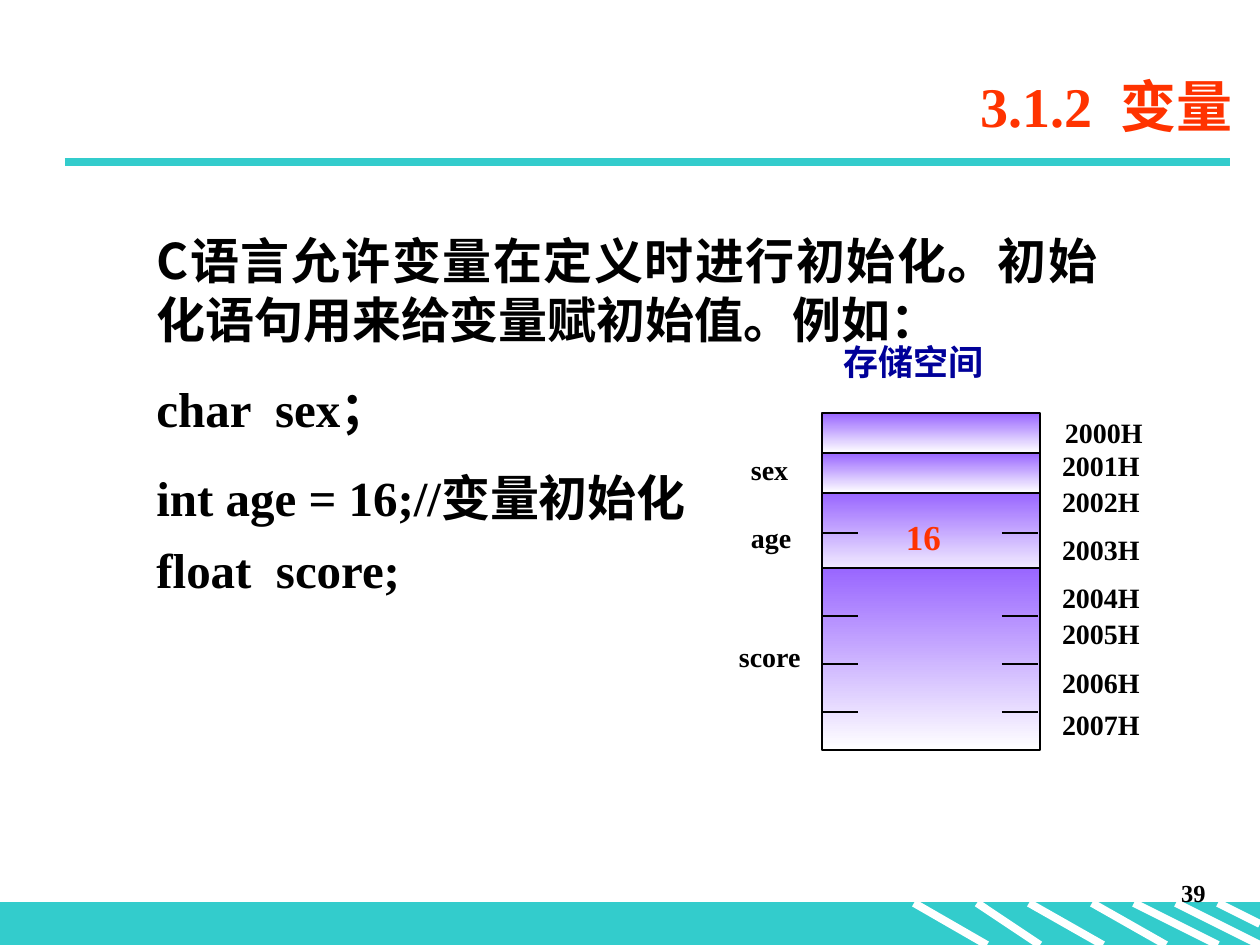
import pptx
import pptx.dml.color
import pptx.enum.shapes
import pptx.enum.text
import pptx.oxml.ns
import pptx.util
from dataclasses import dataclass
from lxml import etree

ALIGN = pptx.enum.text.PP_ALIGN
FIT = pptx.enum.text.MSO_AUTO_SIZE


@dataclass(frozen=True)
class Theme:
    teal: str = "33CCCC"
    white: str = "FFFFFF"
    black: str = "000000"
    red: str = "FF3300"
    navy: str = "000099"
    violet: str = "9966FF"
    latin: str = "Times New Roman"
    asian: str = "Noto Sans CJK SC"
    title: int = 32
    body: int = 28
    caption: int = 20
    label: int = 16
    number: int = 14


THEME = Theme()


def px(count):
    return pptx.util.Emu(round(count * 914400 / 126))


def rgb(code):
    return pptx.dml.color.RGBColor.from_string(code)


def add_span(para, text, size, color=THEME.black, latin=THEME.latin):
    span = para.add_run()
    span.text = text
    span.font.size = pptx.util.Pt(size)
    span.font.bold = True
    span.font.color.rgb = rgb(color)
    span.font.name = latin
    asian = etree.SubElement(span._r.get_or_add_rPr(), pptx.oxml.ns.qn("a:ea"))
    asian.set("typeface", THEME.asian)
    return span


def add_box(page, left, top, width, height, inset=True, wrap=True):
    box = page.shapes.add_textbox(px(left), px(top), px(width), px(height))
    frame = box.text_frame
    frame.word_wrap = wrap
    frame.auto_size = FIT.SHAPE_TO_FIT_TEXT
    if not inset:
        frame.margin_left = frame.margin_right = 0
        frame.margin_top = frame.margin_bottom = 0
    return frame


def add_label(page, text, left, top, width, size=THEME.label, color=THEME.black):
    frame = add_box(page, left, top, width, size * 2, inset=False, wrap=False)
    add_span(frame.paragraphs[0], text, size, color)


def add_line(page, start, end, color, weight):
    line = page.shapes.add_connector(
        pptx.enum.shapes.MSO_CONNECTOR.STRAIGHT, *map(px, start + end))
    line.line.color.rgb = rgb(color)
    line.line.width = pptx.util.Pt(weight)
    etree.SubElement(line._element.spPr, pptx.oxml.ns.qn("a:effectLst"))


def add_rectangle(page, left, top, width, height, line_color, weight):
    box = page.shapes.add_shape(
        pptx.enum.shapes.MSO_SHAPE.RECTANGLE,
        px(left), px(top), px(width), px(height))
    box.shadow.inherit = False
    box.line.color.rgb = rgb(line_color)
    box.line.width = pptx.util.Pt(weight)
    return box


def add_cell(page, top, height):
    cell = add_rectangle(page, 822, top, 218, height, THEME.black, 1.25)
    cell.fill.gradient()
    cell.fill.gradient_angle = 270
    for stop, position, color in zip(
            cell.fill.gradient_stops, (0, 1), (THEME.violet, THEME.white)):
        stop.position = position
        stop.color.rgb = rgb(color)


def add_frame(page):
    # Footer band with diagonal stripes
    band = add_rectangle(page, 0, 903, 1260, 42, THEME.teal, 0.75)
    band.fill.solid()
    band.fill.fore_color.rgb = rgb(THEME.teal)
    stripes = [(914, 987, 945), (977, 1040, 945), (1029, 1103, 945),
               (1092, 1166, 945), (1134, 1218, 945), (1176, 1260, 945),
               (1218, 1260, 924)]
    for left, right, bottom in stripes:
        add_line(page, (left, 903), (right, bottom), THEME.white, 4.5)

    # Rule under the title
    add_line(page, (65, 162), (1230, 162), THEME.teal, 4.5)

    # Page number
    frame = add_box(page, 956, 872, 262, 63)
    frame.auto_size = FIT.NONE
    frame.paragraphs[0].alignment = ALIGN.RIGHT
    add_span(frame.paragraphs[0], "39", THEME.number)


def add_title(page):
    title = page.shapes.title
    title.left, title.top, title.width, title.height = map(px, (174, 55, 1071, 100))
    frame = title.text_frame
    frame.auto_size = FIT.NONE
    frame.vertical_anchor = pptx.enum.text.MSO_ANCHOR.MIDDLE
    para = frame.paragraphs[0]
    para.alignment = ALIGN.RIGHT
    add_span(para, "3.1.2", THEME.title, THEME.red)
    gap = add_span(para, " ", THEME.title, THEME.red)
    gap._r.get_or_add_rPr().set("spc", "800")
    add_span(para, "变量", THEME.title, THEME.red)


def add_body(page):
    frame = add_box(page, 144, 224, 966, 470)
    para = frame.paragraphs[0]
    para.alignment = ALIGN.JUSTIFY
    add_span(para, "C语言允许变量在定义时进行初始化。初始化语句用来给变量赋初始值。例如：",
             THEME.body, latin=THEME.asian)
    for code, space in [("char  sex；", 17.5), ("int age = 16;//变量初始化", 17.5),
                        ("float  score;", 7)]:
        para = frame.add_paragraph()
        para.space_before = pptx.util.Pt(space)
        add_span(para, code, THEME.body)


def add_memory(page):
    # Cells, one per variable below the free first byte
    for top, height in [(413, 40), (453, 40), (493, 87), (568, 182)]:
        add_cell(page, top, height)

    # Byte marks at both edges of a cell
    for y in (533, 616, 664, 712):
        for left in (822, 1002):
            add_line(page, (left, y), (left + 36, y), THEME.black, 0.75)

    # Addresses
    addresses = [(1065, 416), (1062, 449), (1062, 485), (1062, 533),
                 (1062, 581), (1062, 617), (1062, 665), (1062, 708)]
    for index, (left, top) in enumerate(addresses):
        add_label(page, f"{2000 + index}H", left, top, 82)

    # Variable names and the stored value
    for name, left, top, width in [("sex", 751, 453, 42), ("age", 751, 520, 46),
                                   ("score", 739, 640, 66)]:
        add_label(page, name, left, top, width)
    add_label(page, "16", 906, 516, 39, THEME.caption, THEME.red)

    # Heading
    heading = add_box(page, 831, 334, 297, 55)
    add_span(heading.paragraphs[0], "存储空间", THEME.caption, THEME.navy)


def main():
    deck = pptx.Presentation()
    deck.slide_width, deck.slide_height = px(1260), px(945)
    page = deck.slides.add_slide(deck.slide_layouts[5])
    add_frame(page)
    add_title(page)
    add_body(page)
    add_memory(page)
    deck.save("out.pptx")


if __name__ == "__main__":
    main()
